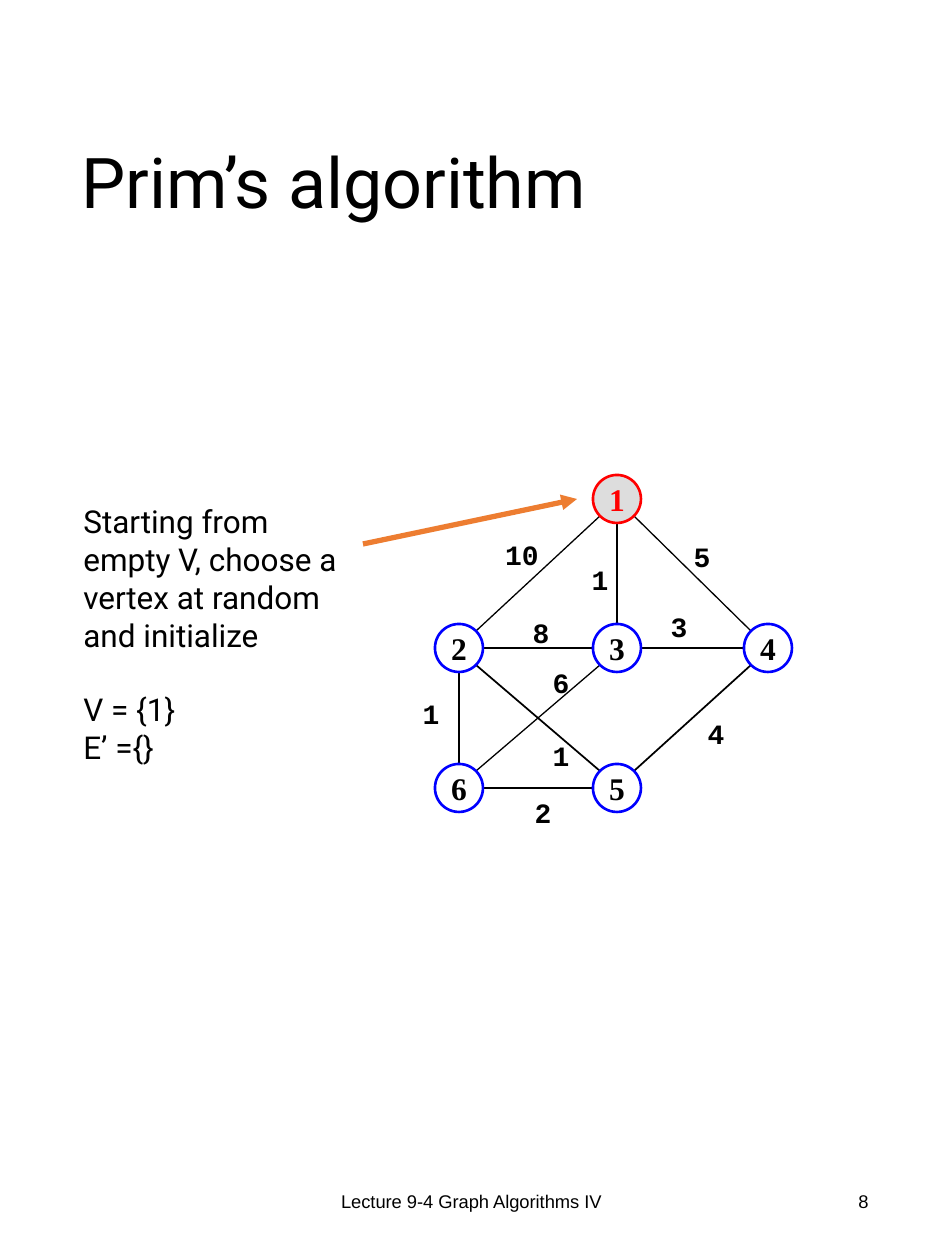
from dataclasses import dataclass

from lxml.etree import SubElement
from pptx import Presentation
from pptx.dml.color import RGBColor
from pptx.enum.shapes import MSO_CONNECTOR as Link, MSO_SHAPE as Form
from pptx.enum.text import MSO_ANCHOR as Anchor, PP_ALIGN as Align
from pptx.oxml.ns import qn
from pptx.util import Pt

PX = 914400 / 126


@dataclass(frozen=True)
class Theme:
    ink: str = "000000"
    blue: str = "0000FF"
    red: str = "FF0000"
    gray: str = "DDDDDD"
    orange: str = "ED7D31"
    sans: str = "Roboto"
    foot: str = "Arial"
    serif: str = "Times New Roman"
    mono: str = "Courier New"
    title: float = 40
    body: float = 18
    label: float = 16
    small: float = 10.5


T = Theme()

# Node centres, relative to the graph box
NODES = {1: (182, 24), 2: (24, 173), 3: (182, 173),
         4: (333, 173), 5: (182, 313), 6: (24, 313)}
# Ends, weight, label centre, line width
EDGES = [
    (1, 2, 10, (87, 79), 0.75),
    (1, 3, 1, (165, 104), 1),
    (1, 4, 5, (267, 81), 0.75),
    (2, 3, 8, (106, 157), 0.75),
    (3, 4, 3, (244, 151), 1),
    (3, 6, 6, (126, 207), 0.75),
    (2, 6, 1, (-4, 238), 1),
    (2, 5, 1, (126, 280), 1),
    (4, 5, 4, (281, 258), 1),
    (5, 6, 2, (108, 337), 0.75),
]


def emu(*nums):
    return [round(n * PX) for n in nums]


def rgb(code):
    return RGBColor.from_string(code)


def write(frame, lines, font, size, color=T.ink, bold=False,
          align=Align.LEFT, anchor=Anchor.MIDDLE, wrap=True):
    frame.word_wrap = wrap
    frame.vertical_anchor = anchor
    for i, line in enumerate(lines):
        para = frame.add_paragraph() if i else frame.paragraphs[0]
        para.text = line
        para.alignment = align
        face = para.font
        face.name, face.size, face.bold = font, Pt(size), bold
        face.color.rgb = rgb(color)
    return frame.paragraphs


def text(slide, box, lines, font, size, **opts):
    area = slide.shapes.add_textbox(*emu(*box))
    return write(area.text_frame, lines, font, size, **opts)


def link(slide, start, end, color, width):
    line = slide.shapes.add_connector(Link.STRAIGHT, *emu(*start, *end))
    line.line.color.rgb = rgb(color)
    line.line.width = Pt(width)
    SubElement(line._element.spPr, qn("a:effectLst"))
    return line


def title(slide, box):
    paras = text(slide, box, ["Prim’s algorithm"], T.sans, T.title)
    paras[0].line_spacing = 0.9


def note(slide, box):
    lines = ["Starting from empty V, choose a vertex at random and initialize",
             "V = {1}", "E’ ={}"]
    paras = text(slide, box, lines, T.sans, T.body, anchor=Anchor.TOP)
    paras[1].space_before = Pt(21)


def arrow(slide, box):
    x, y, w, h = box
    line = link(slide, (x, y + h), (x + w, y), T.orange, 3)
    SubElement(line.line._get_or_add_ln(), qn("a:tailEnd"), type="triangle")


def node(slide, x, y, num, size):
    disc = slide.shapes.add_shape(
        Form.OVAL, *emu(x - size / 2, y - size / 2, size, size))
    disc.shadow.inherit = False
    chosen = num == 1
    if chosen:
        disc.fill.solid()
        disc.fill.fore_color.rgb = rgb(T.gray)
    else:
        disc.fill.background()
    disc.line.color.rgb = rgb(T.red if chosen else T.blue)
    disc.line.width = Pt(1.5)
    write(disc.text_frame, [str(num)], T.serif, T.body,
          color=T.red if chosen else T.ink, bold=True,
          align=Align.CENTER, wrap=False)


def graph(slide, box):
    left, top, size = box[0], box[1], 48
    spots = {n: (left + x, top + y) for n, (x, y) in NODES.items()}

    # Edges run from rim to rim, at straight or diagonal angles
    for a, b, weight, (lx, ly), width in EDGES:
        (ax, ay), (bx, by) = spots[a], spots[b]
        sx, sy = (bx > ax) - (bx < ax), (by > ay) - (by < ay)
        reach = 17 if sx and sy else size // 2
        dx, dy = sx * reach, sy * reach
        link(slide, (ax + dx, ay + dy), (bx - dx, by - dy), T.ink, width)
        text(slide, (left + lx - 30, top + ly - 23, 60, 46), [str(weight)],
             T.mono, T.label, bold=True, align=Align.CENTER, wrap=False)

    for num, (x, y) in spots.items():
        node(slide, x, y, num, size)


def footer(slide, box):
    x, y, w, h = box
    text(slide, (x, y, 319, h), ["Lecture 9-4 Graph Algorithms IV"],
         T.foot, T.small, align=Align.CENTER)
    text(slide, (x + w - 213, y, 213, h), ["8"],
         T.foot, T.small, align=Align.RIGHT)


def main():
    deck = Presentation()
    deck.slide_width, deck.slide_height = emu(945, 1260)
    slide = deck.slides.add_slide(deck.slide_layouts[6])
    title(slide, (69, 64, 815, 243))
    note(slide, (71, 496, 304, 280))
    arrow(slide, (363, 499, 214, 45))
    graph(slide, (435, 475, 357, 337))
    footer(slide, (312, 1168, 569, 67))
    deck.save("out.pptx")


if __name__ == "__main__":
    main()
